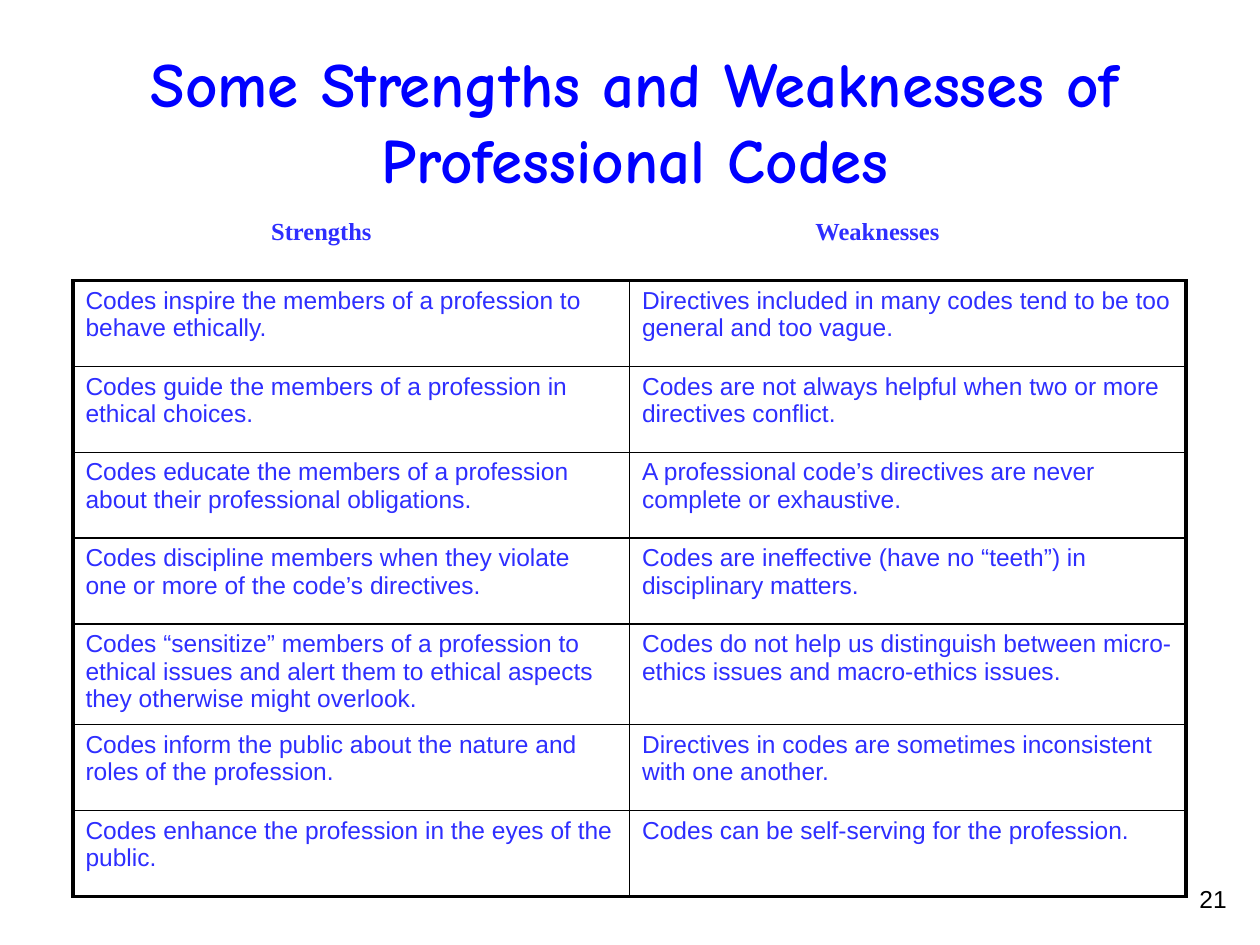
from lxml import etree
from pptx import Presentation
from pptx import util as u
from pptx.dml import color
from pptx.enum import text
from pptx.oxml import ns

COLOURS = {"title": "0000FF", "body": "2E2EFF", "line": "000000", "number": "000000"}
FORMATS = {
    "title": {"name": "Comic Neue", "size": u.Pt(36), "bold": True},
    "heading": {"name": "Times New Roman", "size": u.Pt(14), "bold": True},
    "body": {"name": "Arial", "size": u.Pt(14), "bold": False},
}
THICK, THIN = 2.25, 1
HEADINGS = ["Strengths", "Weaknesses"]
CODES = [
    ("Codes inspire the members of a profession to behave ethically.",
     "Directives included in many codes tend to be too general and too vague."),
    ("Codes guide the members of a profession in ethical choices.",
     "Codes are not always helpful when two or more directives conflict."),
    ("Codes educate the members of a profession about their professional obligations.",
     "A professional code’s directives are never complete or exhaustive."),
    ("Codes discipline members when they violate one or more of the code’s directives.",
     "Codes are ineffective (have no “teeth”) in disciplinary matters."),
    ("Codes “sensitize” members of a profession to ethical issues and alert them to "
     "ethical aspects they otherwise might overlook.",
     "Codes do not help us distinguish between micro-ethics issues and macro-ethics issues."),
    ("Codes inform the public about the nature and roles of the profession.",
     "Directives in codes are sometimes inconsistent with one another."),
    ("Codes enhance the profession in the eyes of the public.",
     "Codes can be self-serving for the profession."),
]
ROW_HEIGHTS = [1.73] * 4 + [2.03] + [1.73] * 2


def write(frame, words, style, colour, align=text.PP_ALIGN.LEFT):
    frame.word_wrap = True
    para = frame.paragraphs[0]
    para.alignment = align
    span = para.add_run()
    span.text = words
    for name, value in FORMATS[style].items():
        setattr(span.font, name, value)
    span.font.color.rgb = color.RGBColor.from_string(COLOURS[colour])


def add_title(page, box, words):
    title = page.shapes.title
    for name, value in zip(("left", "top", "width", "height"), box):
        setattr(title, name, u.Cm(value))
    frame = title.text_frame
    frame.auto_size = text.MSO_AUTO_SIZE.NONE
    frame.vertical_anchor = text.MSO_ANCHOR.MIDDLE
    for side in ("left", "top", "right", "bottom"):
        setattr(frame, "margin_" + side, u.Cm(0.25))
    write(frame, words, "title", "title", text.PP_ALIGN.CENTER)


def add_label(page, box, words, style, colour, align):
    label = page.shapes.add_textbox(*map(u.Cm, box))
    write(label.text_frame, words, style, colour, align)


def add_headings(page, box):
    left, top, width, height = box
    label_width = 8.46
    step = width - label_width
    for index, words in enumerate(HEADINGS):
        add_label(page, (left + index * step, top, label_width, height),
                  words, "heading", "body", text.PP_ALIGN.CENTER)


def set_borders(cell, widths):
    properties = cell._tc.get_or_add_tcPr()
    for side, width in widths.items():
        line = etree.SubElement(properties, ns.qn("a:ln" + side), w=str(u.Pt(width)))
        fill = etree.SubElement(line, ns.qn("a:solidFill"))
        etree.SubElement(fill, ns.qn("a:srgbClr"), val=COLOURS["line"])


def add_code_table(page, box):
    last_row, last_column = len(CODES) - 1, len(HEADINGS) - 1
    table = page.shapes.add_table(len(CODES), len(HEADINGS), *map(u.Cm, box)).table
    table.first_row = table.horz_banding = False
    for row, height in zip(table.rows, ROW_HEIGHTS):
        row.height = u.Cm(height)
    for i, row in enumerate(CODES):
        for j, words in enumerate(row):
            cell = table.cell(i, j)
            write(cell.text_frame, words, "body", "body")
            outer = {"L": j == 0, "R": j == last_column, "T": i == 0, "B": i == last_row}
            set_borders(cell, {side: THICK if edge else THIN for side, edge in outer.items()})
            cell.fill.background()


def build_page(deck):
    page = deck.slides.add_slide(deck.slide_layouts[5])
    add_title(page, (1.27, 0.84, 23.06, 3.18),
              "Some Strengths and Weaknesses of Professional Codes")
    add_code_table(page, (1.47, 5.66, 22.44, sum(ROW_HEIGHTS)))
    add_headings(page, (2.25, 4.24, 19.67, 0.86))
    add_label(page, (23.93, 17.7, 1.14, 1.07), "21", "body", "number", text.PP_ALIGN.LEFT)


deck = Presentation()
deck.slide_width, deck.slide_height = u.Cm(25.4), u.Cm(19.05)
build_page(deck)
deck.save("out.pptx")
